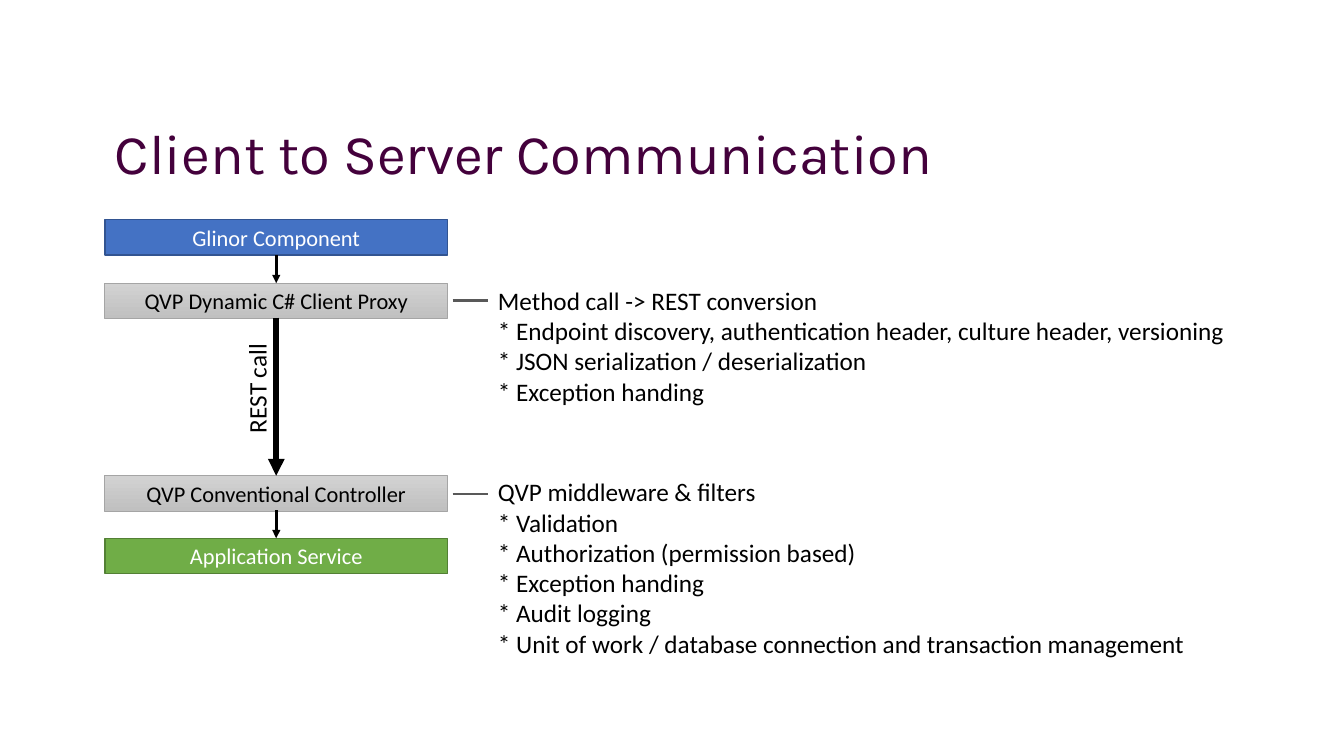
from lxml import etree
from pptx import Presentation
from pptx.dml.color import RGBColor
from pptx.enum.shapes import MSO_CONNECTOR, MSO_SHAPE
from pptx.enum.text import MSO_ANCHOR, MSO_AUTO_SIZE, PP_ALIGN
from pptx.oxml.ns import qn
from pptx.util import Pt

PX = 9144
RECTANGLE = MSO_SHAPE.RECTANGLE
STRAIGHT = MSO_CONNECTOR.STRAIGHT
MIDDLE, TOP = MSO_ANCHOR.MIDDLE, MSO_ANCHOR.TOP
LEFT, CENTER = PP_ALIGN.LEFT, PP_ALIGN.CENTER
FIXED, GROW = MSO_AUTO_SIZE.NONE, MSO_AUTO_SIZE.SHAPE_TO_FIT_TEXT


def color(value):
    return RGBColor.from_string(value)


def write(shape, lines, size, text_color, font="Calibri", align=LEFT, **frame_format):
    frame = shape.text_frame
    for name, value in frame_format.items():
        setattr(frame, name, value)
    frame.text = "\n".join(lines)
    for paragraph in frame.paragraphs:
        paragraph.alignment = align
        for run in paragraph.runs:
            for name, value in {"name": font, "size": Pt(size), "bold": False}.items():
                setattr(run.font, name, value)
            run.font.color.rgb = color(text_color)


presentation = Presentation()
presentation.slide_width = 1333 * PX
presentation.slide_height = 750 * PX
slide = presentation.slides.add_slide(presentation.slide_layouts[5])
shapes = slide.shapes

title = shapes.title
title_box = {"left": 104, "top": 97, "width": 1125, "height": 117}
for name, value in title_box.items():
    setattr(title, name, value * PX)
write(title, ["Client to Server Communication"], 40, "44013C", font="Karla",
      vertical_anchor=MIDDLE, word_wrap=True, auto_size=FIXED)
title.text_frame.paragraphs[0].line_spacing = 0.9

GRAY = ["D2D2D2", "C0C0C0"]
layers = [
    ("Glinor Component", 218, ["4472C4"], "325491", 1, "FFFFFF"),
    ("QVP Dynamic C# Client Proxy", 281, GRAY, "A5A5A5", 0.5, "000000"),
    ("QVP Conventional Controller", 472, GRAY, "A5A5A5", 0.5, "000000"),
    ("Application Service", 534, ["70AD47"], "538035", 1, "FFFFFF"),
]
for label, top, fill_colors, line_color, line_width, text_color in layers:
    layer = shapes.add_shape(RECTANGLE, 104 * PX, top * PX, 340 * PX, 35 * PX)
    layer.shadow.inherit = False
    if len(fill_colors) == 1:
        layer.fill.solid()
        layer.fill.fore_color.rgb = color(fill_colors[0])
    else:
        layer.fill.gradient()
        layer.fill.gradient_angle = 270
        for stop, stop_color in zip(layer.fill.gradient_stops, fill_colors):
            stop.color.rgb = color(stop_color)
    layer.line.color.rgb = color(line_color)
    layer.line.width = Pt(line_width)
    write(layer, [label], 16, text_color, align=CENTER,
          vertical_anchor=MIDDLE, word_wrap=True)

connectors = [
    (274, 315, 274, 472, "000000", 4, True),
    (274, 253, 274, 281, "000000", 2, True),
    (274, 506, 274, 534, "000000", 2, True),
    (449, 298, 484, 298, "595959", 2, False),
    (449, 490, 484, 490, "595959", 2, False),
]
for x1, y1, x2, y2, line_color, line_width, has_arrow in connectors:
    connector = shapes.add_connector(STRAIGHT, x1 * PX, y1 * PX, x2 * PX, y2 * PX)
    connector.line.color.rgb = color(line_color)
    connector.line.width = Pt(line_width)
    properties = connector._element.spPr
    if has_arrow:
        etree.SubElement(properties.find(qn("a:ln")), qn("a:tailEnd"), type="triangle")
    etree.SubElement(properties, qn("a:effectLst"))

call_label = shapes.add_textbox(200 * PX, 365 * PX, 109 * PX, 40 * PX)
call_label.rotation = 270
write(call_label, ["REST call"], 18, "000000", word_wrap=False, auto_size=GROW)

notes = [
    (278, 131, [
        "Method call -> REST conversion",
        "* Endpoint discovery, authentication header, culture header, versioning",
        "* JSON serialization / deserialization",
        "* Exception handing",
    ]),
    (468, 192, [
        "QVP middleware & filters",
        "* Validation",
        "* Authorization (permission based)",
        "* Exception handing",
        "* Audit logging",
        "* Unit of work / database connection and transaction management",
    ]),
]
for top, height, lines in notes:
    note = shapes.add_textbox(484 * PX, top * PX, 790 * PX, height * PX)
    write(note, lines, 18, "000000", vertical_anchor=TOP, word_wrap=True, auto_size=GROW)

presentation.save("out.pptx")
